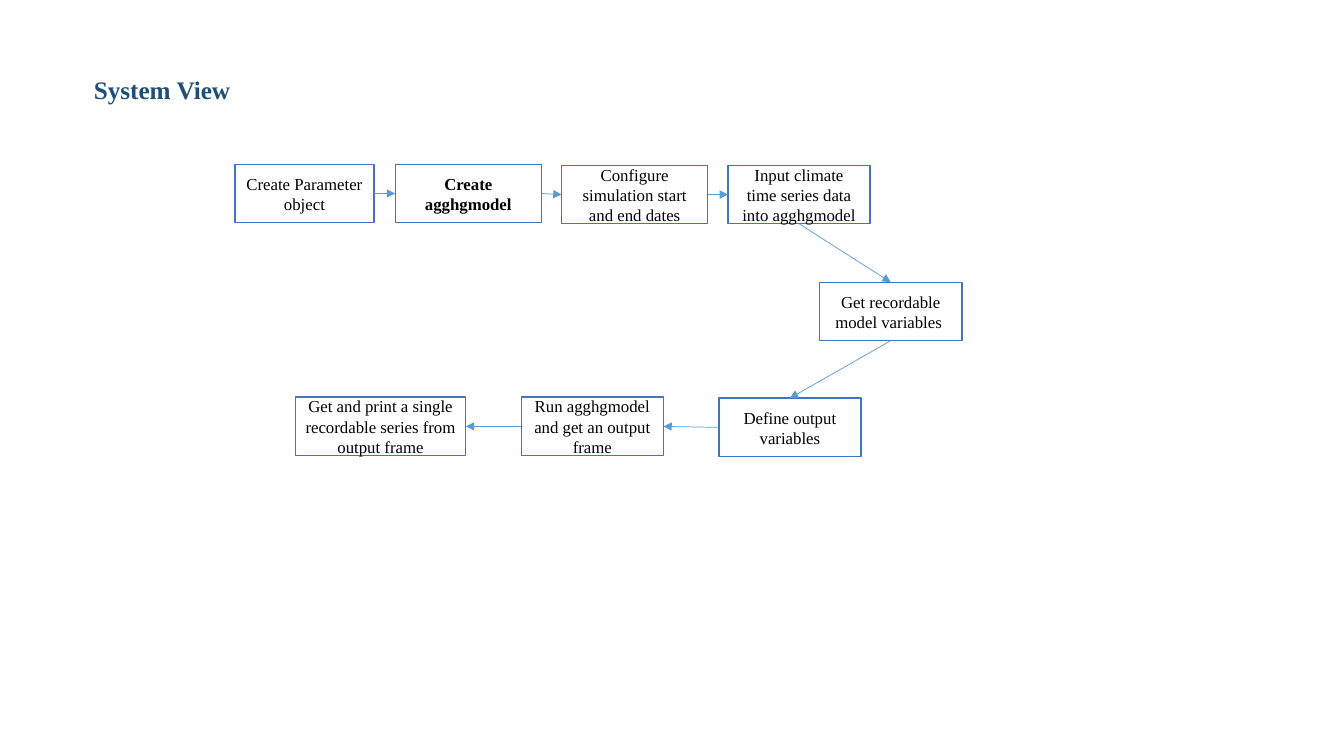
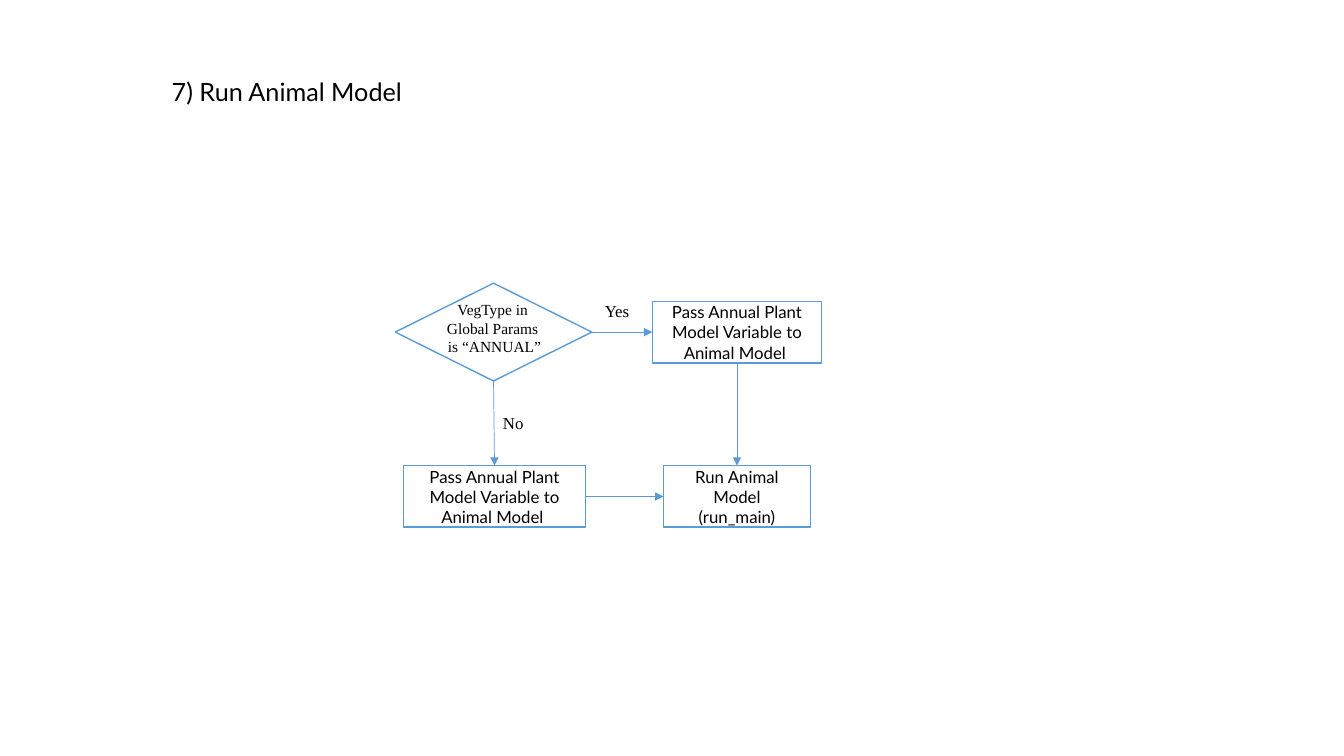
from dataclasses import dataclass
from enum import IntEnum

from lxml.etree import SubElement
from pptx import Presentation
from pptx.dml.color import RGBColor
from pptx.enum.shapes import MSO_CONNECTOR, MSO_SHAPE
from pptx.enum.text import MSO_ANCHOR, MSO_AUTO_SIZE, PP_ALIGN
from pptx.oxml.ns import qn
from pptx.shapes.autoshape import Shape
from pptx.slide import Slide
from pptx.text.text import TextFrame
from pptx.util import Inches, Pt

WHITE = RGBColor(0xFF, 0xFF, 0xFF)
BLACK = RGBColor(0x00, 0x00, 0x00)
NAVY = RGBColor(0x1F, 0x4E, 0x79)
ROYAL_BLUE = RGBColor(0x44, 0x72, 0xC4)
SKY_BLUE = RGBColor(0x5B, 0x9B, 0xD5)
SERIF = "Times New Roman"
SANS = "Lato"
TITLE_ONLY = 5


class Side(IntEnum):
    TOP = 0
    LEFT = 1
    BOTTOM = 2
    RIGHT = 3


@dataclass(frozen=True)
class Area:
    left: float
    top: float
    width: float
    height: float


@dataclass(frozen=True)
class TextStyle:
    font: str
    size: float = 12
    color: RGBColor = BLACK
    bold: bool = False
    align: PP_ALIGN = PP_ALIGN.CENTER


@dataclass(frozen=True)
class Step:
    area: Area
    lines: tuple[str, ...]
    style: TextStyle
    outline: RGBColor
    outline_shape: MSO_SHAPE = MSO_SHAPE.RECTANGLE


@dataclass(frozen=True)
class Flow:
    source: int
    exit_side: Side
    target: int
    entry_side: Side


@dataclass(frozen=True)
class Label:
    area: Area
    lines: tuple[str, ...]
    style: TextStyle


def inches(area: Area) -> tuple[Inches, ...]:
    return tuple(map(Inches, (area.left, area.top, area.width, area.height)))


def write_lines(frame: TextFrame, lines: tuple[str, ...], style: TextStyle) -> None:
    for index, line in enumerate(lines):
        paragraph = frame.add_paragraph() if index else frame.paragraphs[0]
        paragraph.alignment = style.align
        run = paragraph.add_run()
        run.text = line
        run.font.name = style.font
        run.font.size = Pt(style.size)
        run.font.bold = style.bold
        run.font.color.rgb = style.color


def add_titled_slide(deck: Presentation, title: Label) -> Slide:
    slide = deck.slides.add_slide(deck.slide_layouts[TITLE_ONLY])
    heading = slide.shapes.title
    heading.left, heading.top, heading.width, heading.height = inches(title.area)
    frame = heading.text_frame
    frame.word_wrap = False
    frame.auto_size = MSO_AUTO_SIZE.NONE
    frame.vertical_anchor = MSO_ANCHOR.TOP
    write_lines(frame, title.lines, title.style)
    return slide


def add_step(slide: Slide, step: Step) -> Shape:
    box = slide.shapes.add_shape(step.outline_shape, *inches(step.area))
    box.shadow.inherit = False
    box.fill.solid()
    box.fill.fore_color.rgb = WHITE
    box.line.color.rgb = step.outline
    box.line.width = Pt(1)
    box.text_frame.word_wrap = True
    box.text_frame.vertical_anchor = MSO_ANCHOR.MIDDLE
    write_lines(box.text_frame, step.lines, step.style)
    return box


def add_arrow(slide: Slide, boxes: list[Shape], flow: Flow) -> None:
    arrow = slide.shapes.add_connector(MSO_CONNECTOR.STRAIGHT, 0, 0, 0, 0)
    arrow.begin_connect(boxes[flow.source], flow.exit_side)
    arrow.end_connect(boxes[flow.target], flow.entry_side)
    arrow.line.color.rgb = SKY_BLUE
    arrow.line.width = Pt(0.5)
    properties = arrow.element.spPr
    SubElement(properties.find(qn("a:ln")), qn("a:tailEnd"), type="triangle")
    SubElement(properties, qn("a:effectLst"))


def add_label(slide: Slide, label: Label) -> None:
    frame = slide.shapes.add_textbox(*inches(label.area)).text_frame
    frame.word_wrap = False
    write_lines(frame, label.lines, label.style)


def draw_flowchart(slide: Slide, steps: list[Step], flows: list[Flow]) -> None:
    boxes = [add_step(slide, step) for step in steps]
    for flow in flows:
        add_arrow(slide, boxes, flow)


def build_system_view(deck: Presentation) -> None:
    title_style = TextStyle(SERIF, 18, NAVY, True, PP_ALIGN.LEFT)
    slide = add_titled_slide(
        deck, Label(Area(0.83, 0.69, 1.57, 0.4), ("System View",), title_style)
    )
    plain = TextStyle(SERIF)
    strong = TextStyle(SERIF, bold=True)
    stages = [
        (2.33, 1.63, 1.38, "Create Parameter object", plain),
        (3.92, 1.63, 1.45, "Create agghgmodel", strong),
        (5.57, 1.64, 1.45, "Configure simulation start and end dates", plain),
        (7.22, 1.64, 1.41, "Input climate time series data into agghgmodel", plain),
        (8.13, 2.8, 1.41, "Get recordable model variables ", plain),
        (7.13, 3.95, 1.41, "Define output variables", plain),
        (5.17, 3.94, 1.41, "Run agghgmodel and get an output frame", plain),
        (2.93, 3.94, 1.69,
         "Get and print a single recordable series from output frame", plain),
    ]
    steps = [
        Step(Area(left, top, width, 0.58), (wording,), style, ROYAL_BLUE)
        for left, top, width, wording, style in stages
    ]
    rightward = (Side.RIGHT, Side.LEFT)
    downward = (Side.BOTTOM, Side.TOP)
    leftward = (Side.LEFT, Side.RIGHT)
    directions = [rightward] * 3 + [downward] * 2 + [leftward] * 2
    flows = [
        Flow(index, exit_side, index + 1, entry_side)
        for index, (exit_side, entry_side) in enumerate(directions)
    ]
    draw_flowchart(slide, steps, flows)


def build_animal_model(deck: Presentation) -> None:
    title = Label(
        Area(1.59, 0.71, 2.51, 0.4), ("7) Run Animal Model ",), TextStyle(SANS, 18)
    )
    slide = add_titled_slide(deck, title)
    sans = TextStyle(SANS)
    pass_variable = ("Pass Annual Plant Model Variable to Animal Model ",)
    decision, annual, other, run_model = range(4)
    steps = [
        Step(Area(3.92, 2.81, 1.95, 0.97), (), sans, SKY_BLUE,
             MSO_SHAPE.FLOWCHART_DECISION),
        Step(Area(6.47, 2.99, 1.68, 0.61), pass_variable, sans, SKY_BLUE),
        Step(Area(4, 4.62, 1.81, 0.61), pass_variable, sans, SKY_BLUE),
        Step(Area(6.58, 4.62, 1.46, 0.61), ("Run Animal Model", "(run_main)"),
             sans, SKY_BLUE),
    ]
    flows = [
        Flow(decision, Side.RIGHT, annual, Side.LEFT),
        Flow(decision, Side.BOTTOM, other, Side.TOP),
        Flow(annual, Side.BOTTOM, run_model, Side.TOP),
        Flow(other, Side.RIGHT, run_model, Side.LEFT),
    ]
    draw_flowchart(slide, steps, flows)
    answer = TextStyle(SERIF, align=PP_ALIGN.LEFT)
    question = ("VegType in ", "Global Params ", "is “ANNUAL”")
    for label in (
        Label(Area(4.33, 2.93, 1.15, 0.84), question, TextStyle(SERIF, 11)),
        Label(Area(5.9, 2.93, 0.45, 0.3), ("Yes",), answer),
        Label(Area(4.89, 4.05, 0.41, 0.3), ("No",), answer),
    ):
        add_label(slide, label)


deck = Presentation()
deck.slide_width = Inches(13.33)
deck.slide_height = Inches(7.5)
build_system_view(deck)
build_animal_model(deck)
deck.save("out.pptx")
